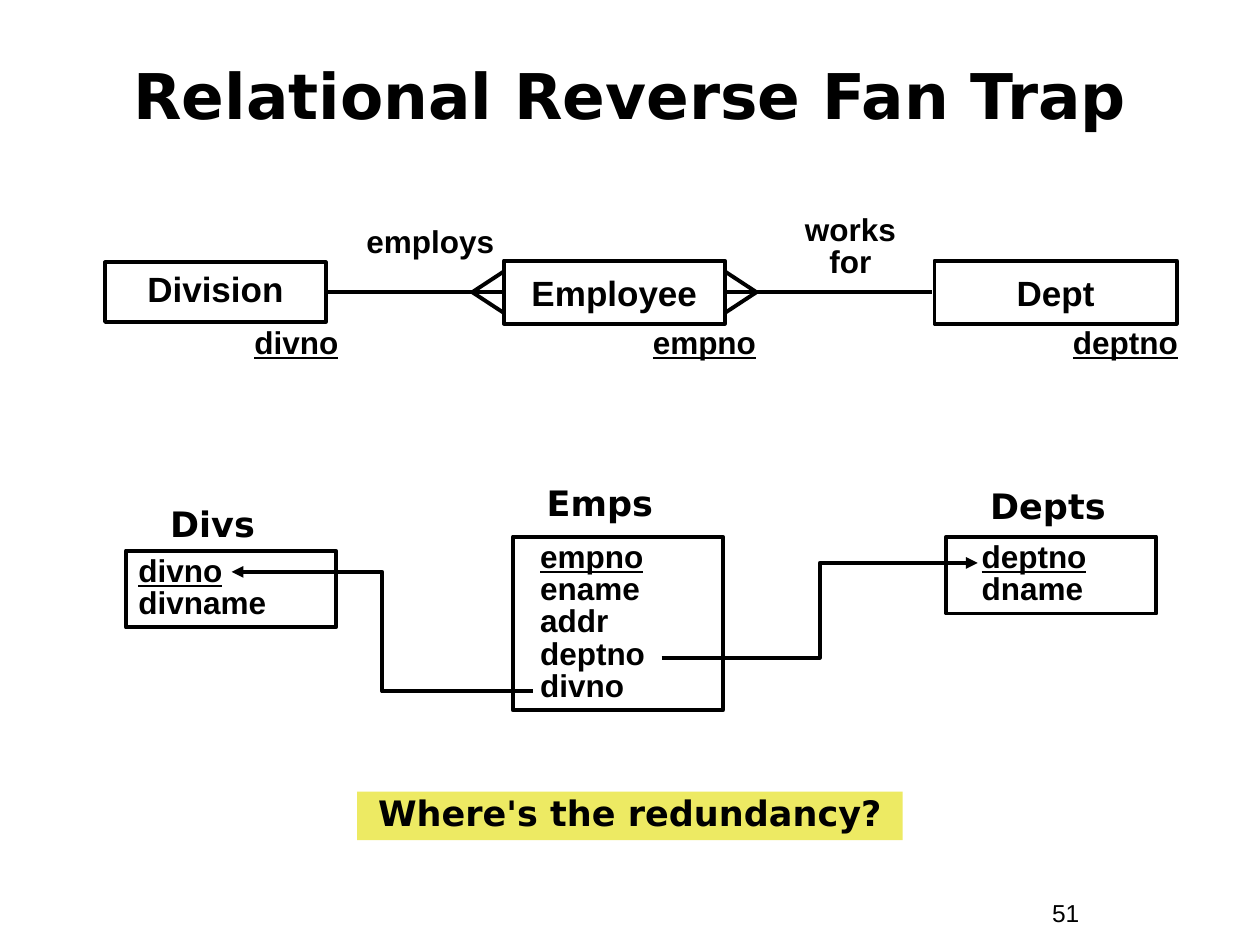
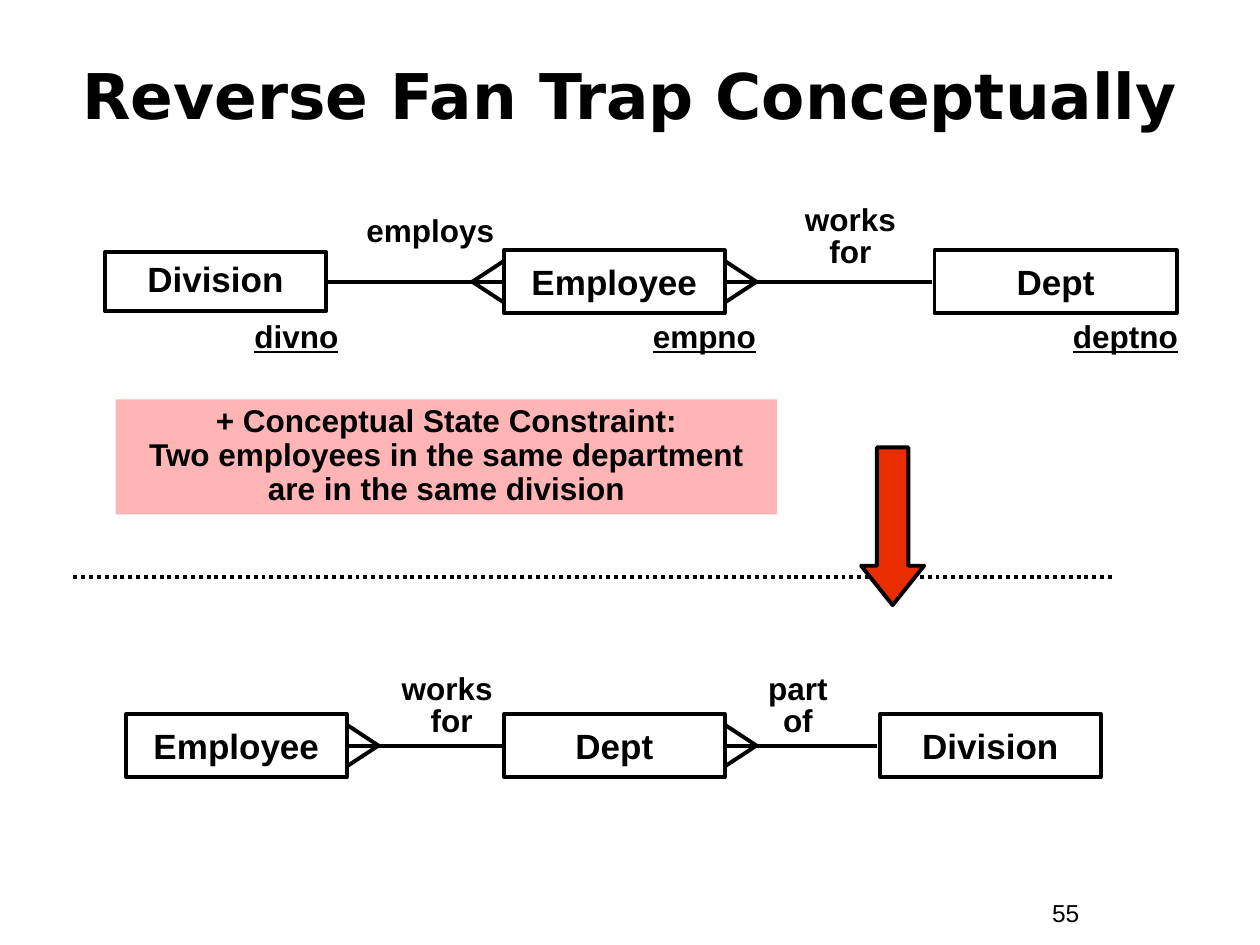
import pptx
import pptx.util
import pptx.dml.color
import pptx.enum.dml
import pptx.enum.shapes
import pptx.enum.text
from lxml import etree
from pptx.oxml.ns import qn
from pptx.util import Cm, Pt

COLOURS = {"ink": "000000", "question": "EDEA63", "constraint": "FFB5B5", "arrow": "EA2D00"}
HEADING, BODY = "DejaVu Sans", "Arial"
LEFT = pptx.enum.text.PP_ALIGN.LEFT
CENTRE = pptx.enum.text.PP_ALIGN.CENTER
SHAPES = pptx.enum.shapes.MSO_SHAPE
CONNECTORS = pptx.enum.shapes.MSO_CONNECTOR

# Content: entities are name, left, width, height, line spacing;
# links are label, label left, label rise above the axis, side with the crow's foot
EMPLOYEE_CENTRED = [
    ("Division", 2.12, 4.45, 1.2, 0.85),
    ("Employee", 10.16, 4.45, 1.27, 1),
    ("Dept", 18.84, 4.88, 1.27, 1),
]
EMPLOYEE_LINKS = [("employs", 6.56, 1.43, "right"), ("works\nfor", 15.03, 1.66, "left")]
DEPT_CENTRED = [
    ("Employee", 2.54, 4.45, 1.27, 1),
    ("Dept", 10.16, 4.45, 1.27, 1),
    ("Division", 17.74, 4.45, 1.27, 1),
]
DEPT_LINKS = [("works \nfor", 6.99, 1.55, "left"), ("part\nof", 13.97, 1.55, "left")]
KEYS = [("divno", 4.88), ("empno", 12.91), ("deptno", 21.38)]

# Tables: name, name position, box left, top, height, indent, columns (key first)
TABLES = [
    ("Divs", (3.18, 10.01), 2.54, 11.1, 1.55, 0, ["divno", "divname"]),
    ("Emps", (10.77, 9.59), 10.34, 10.82, 3.5, 0.3,
     ["empno", "ename", "addr", "deptno", "divno"]),
    ("Depts", (19.71, 9.65), 19.08, 10.82, 1.55, 0.46, ["deptno", "dname"]),
]
REFERENCES = [
    ((13.34, 13.26), (19.71, 11.35)),
    ((10.74, 13.94), (4.67, 11.53)),
]
QUESTION = "Where's the redundancy?"
CONSTRAINT = ("+ Conceptual State Constraint:\n"
              "Two employees in the same department are in the same division")


def colour(name):
    return pptx.dml.color.RGBColor.from_string(COLOURS[name])


def write(shape, paragraphs, size, font=BODY, bold=True, align=LEFT, spacing=1,
          middle=False, wrap=True, indent=0, underlined=False):
    """Fill a shape with text; only the first paragraph can be underlined."""
    frame = shape.text_frame
    frame.word_wrap = wrap
    anchors = pptx.enum.text.MSO_ANCHOR
    frame.vertical_anchor = anchors.MIDDLE if middle else anchors.TOP
    for number, text in enumerate(paragraphs):
        para = frame.add_paragraph() if number else frame.paragraphs[0]
        para.text = text
        para.alignment = align
        para.line_spacing = spacing
        if indent:
            para._p.get_or_add_pPr().set("marL", str(Cm(indent)))
        for span in para.runs:
            span.font.name = font
            span.font.size = Pt(size)
            span.font.bold = bold
            span.font.underline = underlined and number == 0
            span.font.color.rgb = colour("ink")


def add_label(page, text, left, top, width, height, size, **style):
    box = page.shapes.add_textbox(Cm(left), Cm(top), Cm(width), Cm(height))
    write(box, [text], size, **style)


def add_box(page, left, top, width, height, fill=None, outlined=True, kind=SHAPES.RECTANGLE):
    box = page.shapes.add_shape(kind, Cm(left), Cm(top), Cm(width), Cm(height))
    box.shadow.inherit = False
    if fill:
        box.fill.solid()
        box.fill.fore_color.rgb = colour(fill)
    else:
        box.fill.background()
    if outlined:
        box.line.color.rgb = colour("ink")
        box.line.width = Pt(2.25)
    else:
        box.line.fill.background()
    return box


def add_line(page, start, end, kind=CONNECTORS.STRAIGHT, dotted=False, arrow=False):
    line = page.shapes.add_connector(kind, *(Cm(value) for value in (*start, *end)))
    line.line.color.rgb = colour("ink")
    line.line.width = Pt(2.25)
    if dotted:
        line.line.dash_style = pptx.enum.dml.MSO_LINE.ROUND_DOT
    if arrow:
        outline = line.line._get_or_add_ln()
        etree.SubElement(outline, qn("a:tailEnd"), type="triangle")
    etree.SubElement(line._element.spPr, qn("a:effectLst"))


def add_page(deck, title, number):
    page = deck.slides.add_slide(deck.slide_layouts[6])
    add_label(page, title, 0.85, 0.85, 23.7, 2.33, 36, font=HEADING,
              align=CENTRE, spacing=0.85, middle=True)
    add_label(page, number, 20.96, 17.98, 2.33, 0.87, 14, bold=False)
    return page


def add_entity_chain(page, axis, entities, links):
    """Draw entities along a horizontal axis, joined by one-to-many links."""
    for name, left, width, height, spacing in entities:
        box = add_box(page, left, axis - height / 2, width, height)
        write(box, [name], 20, align=CENTRE, spacing=spacing, middle=True, wrap=False)
    for before, after, link in zip(entities, entities[1:], links):
        label, label_left, rise, many_side = link
        start, end = before[1] + before[2], after[1]
        add_line(page, (start + 0.05, axis), (end - 0.05, axis))
        edge, tip = (start, start + 0.64) if many_side == "left" else (end, end - 0.64)
        for spread in (-0.42, 0.42):
            add_line(page, (tip, axis), (edge, axis + spread))
        height = 1.55 if "\n" in label else 0.91
        add_label(page, label, label_left, axis - rise, 4.23, height, 18,
                  align=CENTRE, spacing=0.85)


def add_keys(page, top):
    for key, left in KEYS:
        add_label(page, key, left, top, 2.96, 0.94, 18, spacing=0.9, underlined=True)


def build_relational(deck):
    page = add_page(deck, "Relational Reverse Fan Trap", "51")
    add_entity_chain(page, 5.89, EMPLOYEE_CENTRED, EMPLOYEE_LINKS)
    add_keys(page, 6.48)
    # Tables and their foreign keys
    for name, name_at, left, top, height, indent, columns in TABLES:
        add_label(page, name, *name_at, 3.15, 1.12, 20, font=HEADING)
        box = add_box(page, left, top, 4.23, height)
        write(box, columns, 18, spacing=0.85, indent=indent, underlined=True)
    for start, end in REFERENCES:
        add_line(page, start, end, kind=CONNECTORS.ELBOW, arrow=True)
    # Question
    box = add_box(page, 7.2, 15.96, 11, 0.98, fill="question", outlined=False)
    write(box, [QUESTION], 20, font=HEADING, align=CENTRE, spacing=0.85)


def build_conceptual(deck):
    page = add_page(deck, "Reverse Fan Trap Conceptually", "55")
    add_entity_chain(page, 5.68, EMPLOYEE_CENTRED, EMPLOYEE_LINKS)
    add_keys(page, 6.35)
    # Better design below the divider
    add_entity_chain(page, 15.03, DEPT_CENTRED, DEPT_LINKS)
    box = add_box(page, 2.33, 8.05, 13.34, 2.32, fill="constraint", outlined=False)
    write(box, [CONSTRAINT], 18, align=CENTRE, spacing=0.9)
    add_line(page, (1.48, 11.64), (22.43, 11.64), dotted=True)
    arrow = add_box(page, 17.36, 9.02, 1.27, 3.18, fill="arrow", kind=SHAPES.DOWN_ARROW)
    arrow.adjustments[0] = 0.5
    arrow.adjustments[1] = 0.625


def main():
    deck = pptx.Presentation()
    deck.slide_width, deck.slide_height = Cm(25.4), Cm(19.05)
    build_relational(deck)
    build_conceptual(deck)
    deck.save("out.pptx")


if __name__ == "__main__":
    main()
